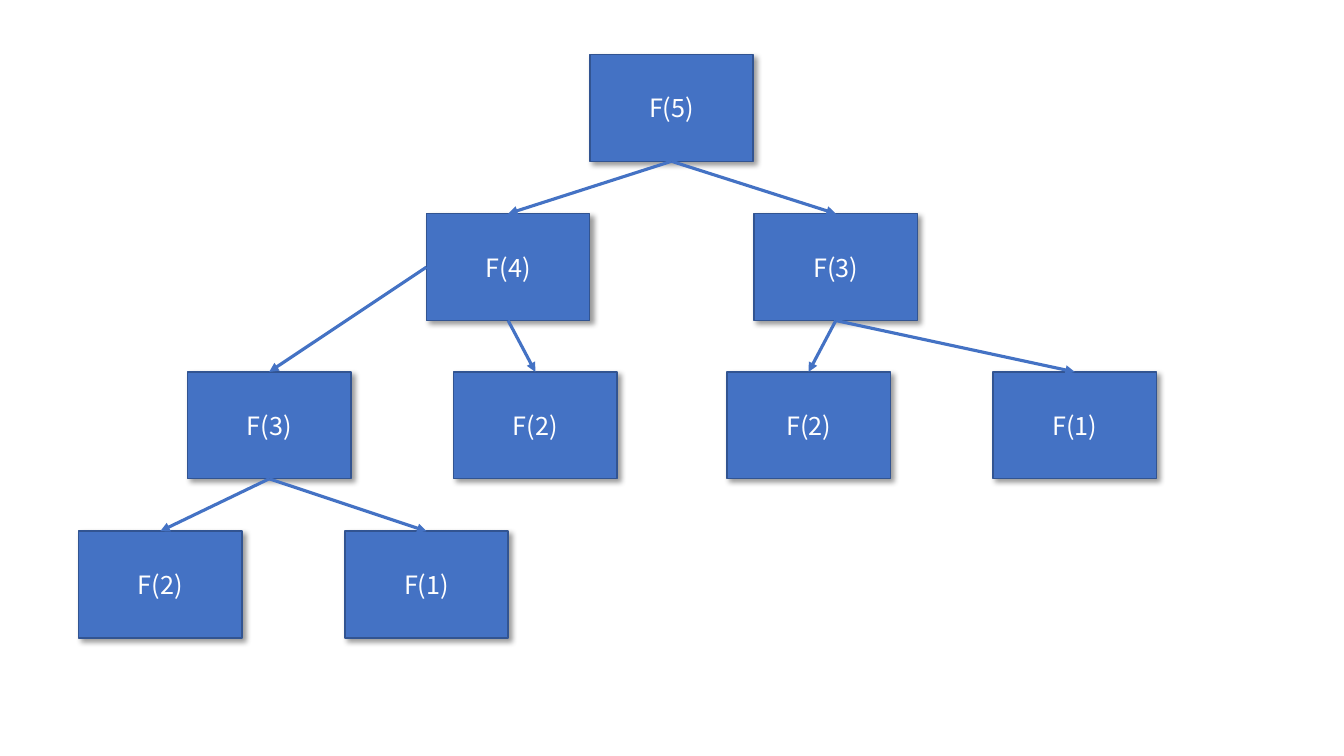
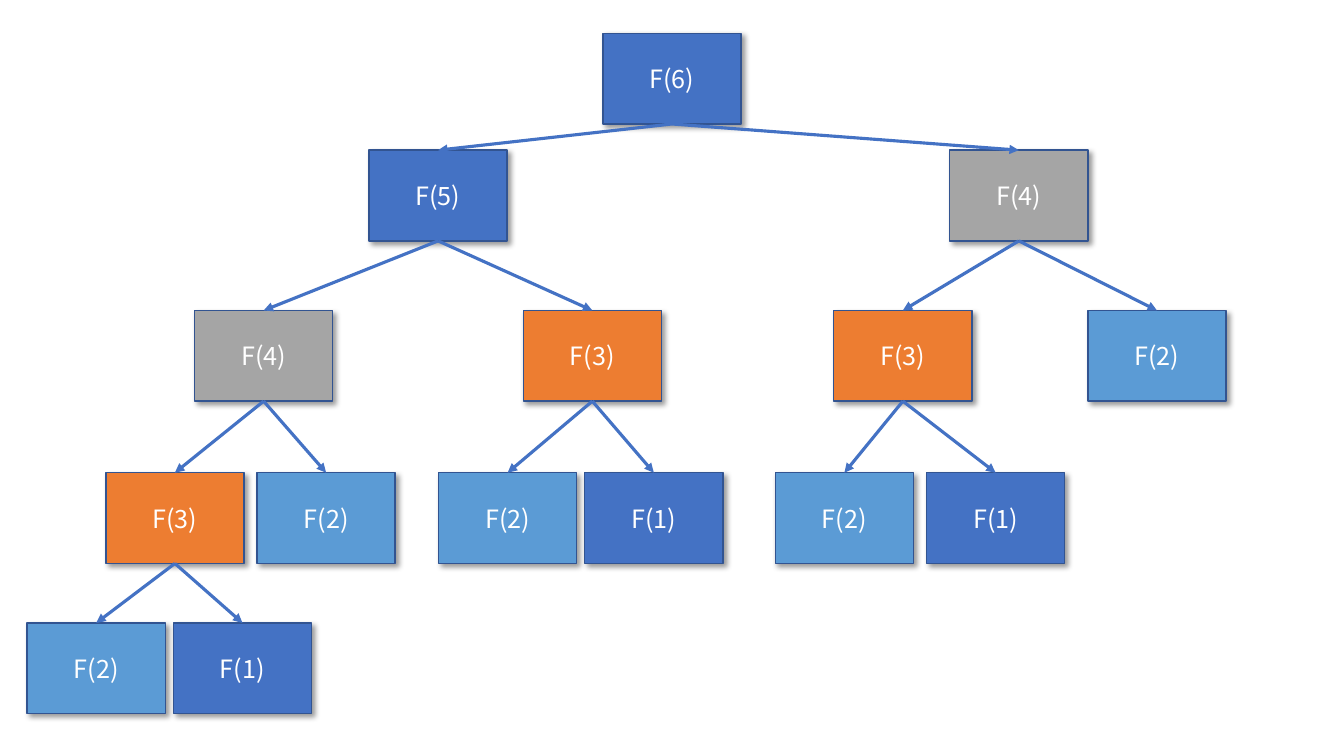
from dataclasses import dataclass, field

from lxml.etree import SubElement
from pptx import Presentation
from pptx.dml.color import RGBColor
from pptx.enum.shapes import MSO_CONNECTOR, MSO_SHAPE
from pptx.enum.text import MSO_ANCHOR, PP_ALIGN
from pptx.oxml.ns import qn
from pptx.shapes.autoshape import Shape
from pptx.slide import Slide
from pptx.util import Inches, Pt

COLORS = {
    "blue": "4472C4",
    "light_blue": "5B9BD5",
    "orange": "ED7D31",
    "gray": "A5A5A5",
    "border": "325491",
    "text": "FFFFFF",
    "shadow": "000000",
}
FONT = "Noto Sans CJK SC"
TOP, LEFT, BOTTOM = 0, 1, 2  # connection sites


@dataclass(frozen=True)
class Level:
    top: float
    lefts: list[float]


@dataclass(frozen=True)
class CallTree:
    root: int
    width: float
    height: float
    levels: list[Level]
    # colour by argument, blue unless named
    fills: dict[int, str] = field(default_factory=dict)
    # (caller, callee) arrows that leave from the left side
    left_exits: set[tuple[int, int]] = field(default_factory=set)


TREES = [
    CallTree(5, 1.62, 1.06, [
        Level(0.54, [5.85]),
        Level(2.12, [4.23, 7.48]),
        Level(3.69, [1.86, 4.5, 7.21, 9.85]),
        Level(5.27, [0.78, 3.42]),
    ], left_exits={(4, 3)}),
    CallTree(6, 1.37, 0.9, [
        Level(0.33, [5.98]),
        Level(1.49, [3.66, 9.42]),
        Level(3.08, [1.93, 5.19, 8.27, 10.79]),
        Level(4.69, [1.05, 2.55, 4.35, 5.8, 7.69, 9.19]),
        Level(6.18, [0.27, 1.72]),
    ], fills={4: "gray", 3: "orange", 2: "light_blue"}),
]


def rgb(name: str) -> RGBColor:
    return RGBColor.from_string(COLORS[name])


def add_shadow(box: Shape) -> None:
    box.shadow.inherit = False
    effects = box._element.spPr.find(qn("a:effectLst"))
    shadow = SubElement(effects, qn("a:outerShdw"), blurRad=str(Pt(4)),
                        dist=str(Pt(3)), dir=str(45 * 60000),
                        algn="tl", rotWithShape="0")
    tint = SubElement(shadow, qn("a:srgbClr"), val=COLORS["shadow"])
    SubElement(tint, qn("a:alpha"), val="40000")


def add_call(slide: Slide, tree: CallTree, n: int, left: float, top: float) -> Shape:
    box = slide.shapes.add_shape(MSO_SHAPE.RECTANGLE, Inches(left), Inches(top),
                                 Inches(tree.width), Inches(tree.height))
    box.fill.solid()
    box.fill.fore_color.rgb = rgb(tree.fills.get(n, "blue"))
    box.line.color.rgb = rgb("border")
    box.line.width = Pt(1)
    add_shadow(box)

    box.text_frame.vertical_anchor = MSO_ANCHOR.MIDDLE
    label = box.text_frame.paragraphs[0]
    label.text = f"F({n})"
    label.alignment = PP_ALIGN.CENTER
    label.font.name = FONT
    label.font.size = Pt(18)
    label.font.color.rgb = rgb("text")
    return box


def add_arrow(slide: Slide, caller: Shape, exit_site: int, callee: Shape) -> None:
    arrow = slide.shapes.add_connector(MSO_CONNECTOR.STRAIGHT, 0, 0, 0, 0)
    arrow.begin_connect(caller, exit_site)
    arrow.end_connect(callee, TOP)
    arrow.line.color.rgb = rgb("blue")
    arrow.line.width = Pt(2.25)
    SubElement(arrow.line._get_or_add_ln(), qn("a:tailEnd"), type="triangle")
    SubElement(arrow._element.spPr, qn("a:effectLst"))


def draw_tree(slide: Slide, tree: CallTree) -> None:
    # Boxes, level by level: F(n) calls F(n-1) and F(n-2) while n > 2
    calls: list[tuple[int, Shape | None, int]] = [(tree.root, None, BOTTOM)]
    arrows: list[tuple[Shape, int, Shape]] = []
    for level in tree.levels:
        next_calls = []
        for (n, caller, exit_site), left in zip(calls, level.lefts):
            box = add_call(slide, tree, n, left, level.top)
            if caller is not None:
                arrows.append((caller, exit_site, box))
            if n > 2:
                for callee in (n - 1, n - 2):
                    site = LEFT if (n, callee) in tree.left_exits else BOTTOM
                    next_calls.append((callee, box, site))
        calls = next_calls

    # Arrows lie in front of the boxes
    for caller, exit_site, callee in arrows:
        add_arrow(slide, caller, exit_site, callee)


def main() -> None:
    deck = Presentation()
    deck.slide_width = Inches(13.33)
    deck.slide_height = Inches(7.5)
    blank = deck.slide_layouts[6]
    for tree in TREES:
        draw_tree(deck.slides.add_slide(blank), tree)
    deck.save("out.pptx")


if __name__ == "__main__":
    main()
